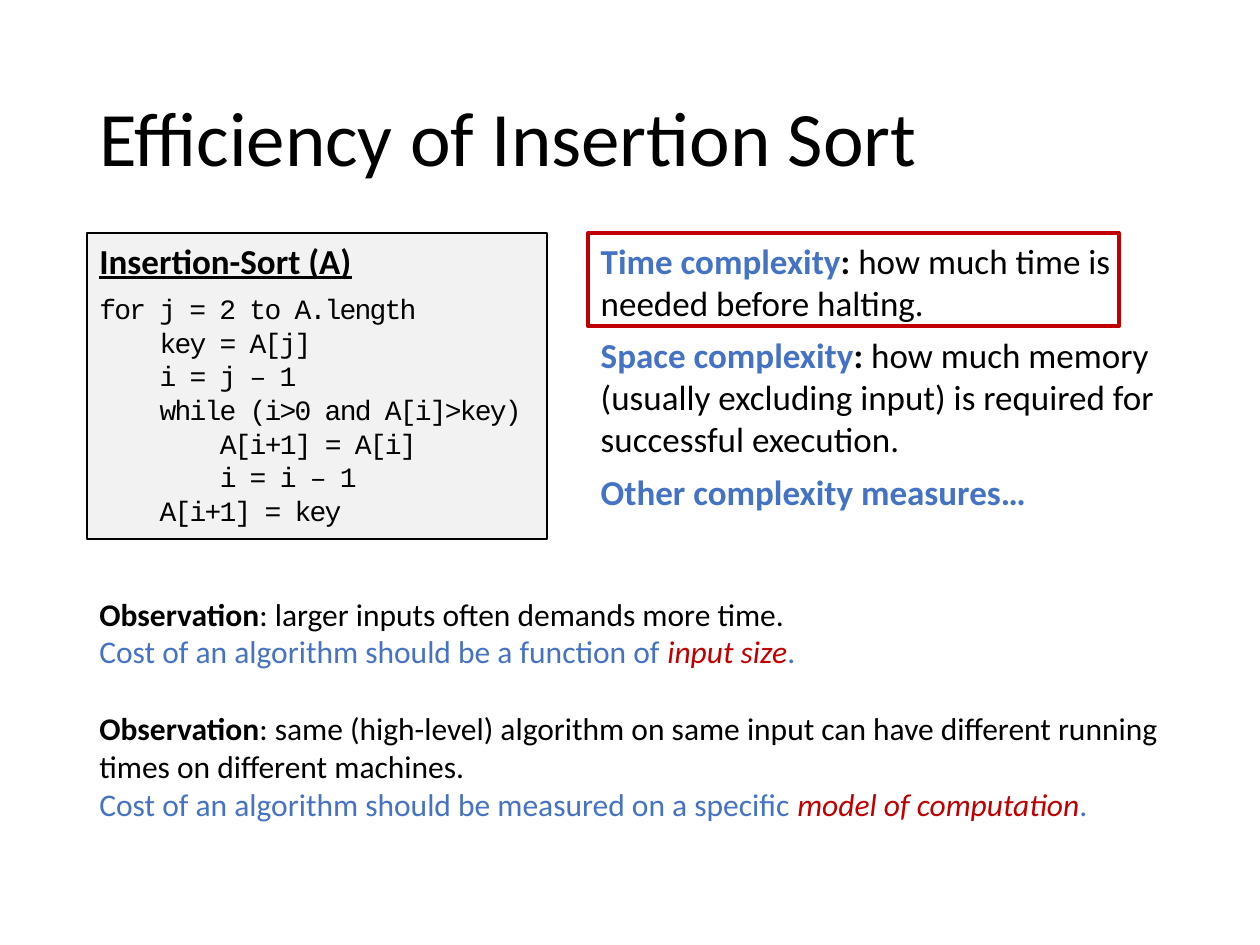
from pptx import Presentation
from pptx.dml.color import RGBColor as RGB
from pptx.enum.shapes import MSO_SHAPE as Kind
from pptx.enum.text import MSO_ANCHOR as Anchor, PP_ALIGN as Align
from pptx.util import Pt

BLACK = RGB(0x00, 0x00, 0x00)
BLUE = RGB(0x44, 0x72, 0xC4)
RED = RGB(0xC0, 0x00, 0x00)
GRAY = RGB(0xF2, 0xF2, 0xF2)

LEFT, WIDE = 49.7, 620.6
MID, TOP = 336.2, 133.2

deck = Presentation()
deck.slide_width, deck.slide_height = Pt(720), Pt(540)
slide = deck.slides.add_slide(deck.slide_layouts[6])


def add_box(x, y, w, h, fill=None, line=None, weight=1):
    """Add a text box, or a rectangle when a line colour is given."""
    area = Pt(x), Pt(y), Pt(w), Pt(h)
    if line is None:
        box = slide.shapes.add_textbox(*area)
    else:
        box = slide.shapes.add_shape(Kind.RECTANGLE, *area)
        box.shadow.inherit = False
        box.line.color.rgb = line
        box.line.width = Pt(weight)
        if fill is None:
            box.fill.background()
        else:
            box.fill.solid()
            box.fill.fore_color.rgb = fill
    box.text_frame.word_wrap = True
    box.text_frame.vertical_anchor = Anchor.TOP
    return box


def write(box, rows, size, gap=0):
    """Fill a box with rows of (text, colour, style) runs; style uses b, i, u."""
    frame = box.text_frame
    frame.text = "\n" * (len(rows) - 1)
    for para, row in zip(frame.paragraphs, rows):
        para.alignment = Align.LEFT
        para.space_after = Pt(gap)
        for text, color, style in row:
            run = para.add_run()
            run.text = text
            font = run.font
            font.name, font.size, font.color.rgb = "Calibri", Pt(size), color
            font.bold, font.italic = "b" in style, "i" in style
            font.underline = "u" in style


# Title
title = add_box(LEFT, 28.8, WIDE, 104.4)
title.text_frame.vertical_anchor = Anchor.MIDDLE
write(title, [[("Efficiency of Insertion Sort", BLACK, "")]], 44)
title.text_frame.paragraphs[0].line_spacing = 0.9

# Pseudocode: each line with its indent level
code = [
    (0, "for j = 2 to A.length"),
    (1, "key = A[j]"),
    (1, "i = j – 1"),
    (1, "while (i>0 and A[i]>key)"),
    (2, "A[i+1] = A[i]"),
    (2, "i = i – 1"),
    (1, "A[i+1] = key"),
]
panel = add_box(LEFT, TOP, 262.8, 175, GRAY, BLACK)
write(panel, [[("Insertion-Sort (A)", BLACK, "bu")]], 20, 6)
for level, text in code:
    para = panel.text_frame.add_paragraph()
    para.text = text
    para.alignment = Align.LEFT
    para._p.get_or_add_pPr().set("marL", str(Pt(34.4 * level)))
    font = para.runs[0].font
    font.name, font.size, font.color.rgb = "Courier New", Pt(16), BLACK
    font._element.set("spc", "-100")

# Complexity measures, with the first one framed
write(add_box(MID, TOP, 334.8, 164.9), [
    [("Time complexity", BLUE, "b"), (": ", BLACK, "b"),
     ("how much time is needed before halting.", BLACK, "")],
    [("Space complexity", BLUE, "b"), (":", BLACK, "b"),
     (" how much memory (usually excluding input) is required for "
      "successful execution.", BLACK, "")],
    [("Other complexity measures…", BLUE, "b")],
], 20, 6)
add_box(MID, TOP, 303.1, 53.3, line=RED, weight=2.25)

# Observations, each with its conclusion
notes = [
    (336.2, 51.1, ": larger inputs often demands more time.",
     "Cost of an algorithm should be a function of ", "input size"),
    (401.8, 72.7, ": same (high-level) algorithm on same input can have "
     "different running times on different machines.",
     "Cost of an algorithm should be measured on a specific ",
     "model of computation"),
]
for y, high, fact, cost, term in notes:
    write(add_box(LEFT, y, WIDE, high), [
        [("Observation", BLACK, "b"), (fact, BLACK, "")],
        [(cost, BLUE, ""), (term, RED, "i"), (".", BLUE, "")],
    ], 18)

deck.save("out.pptx")
